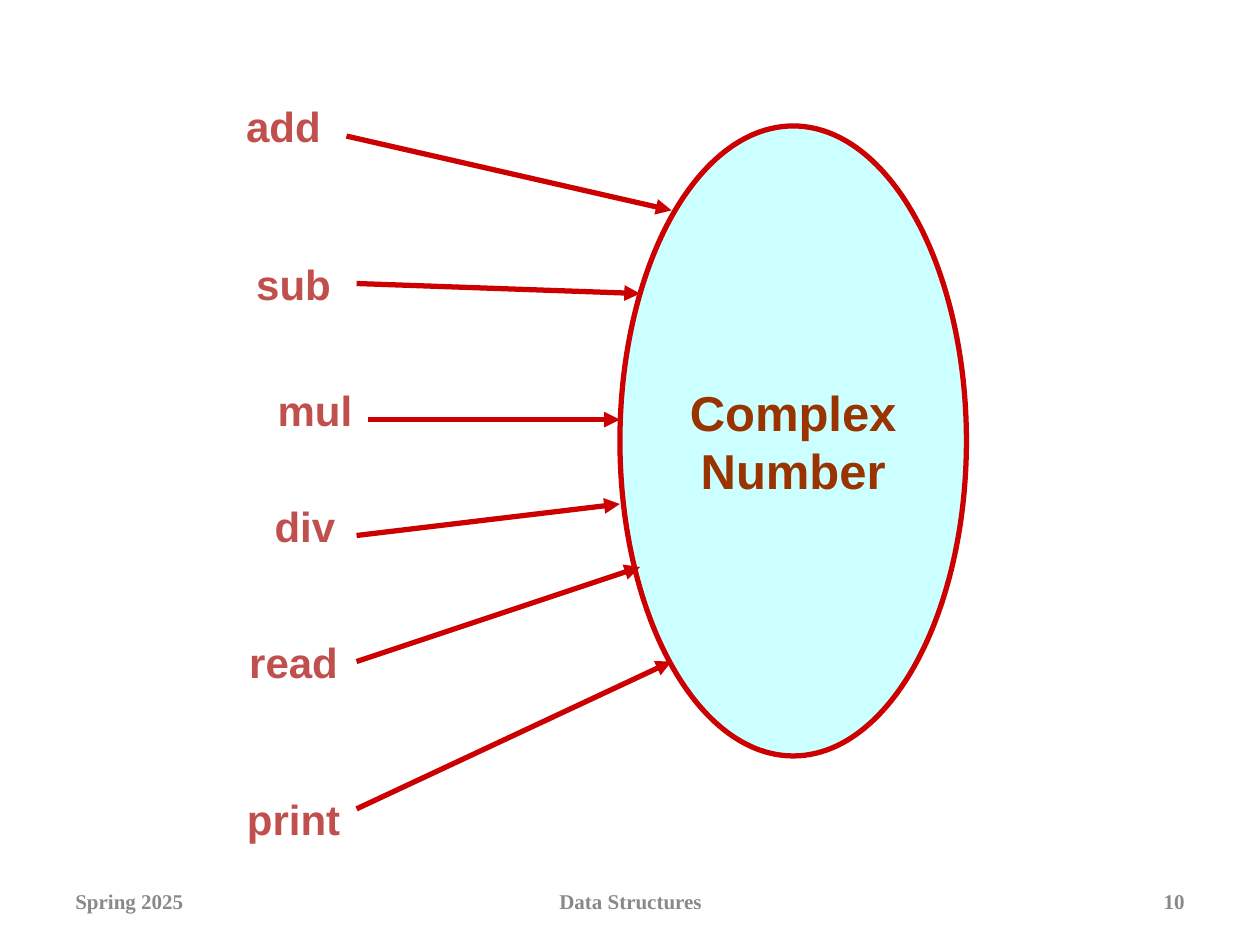
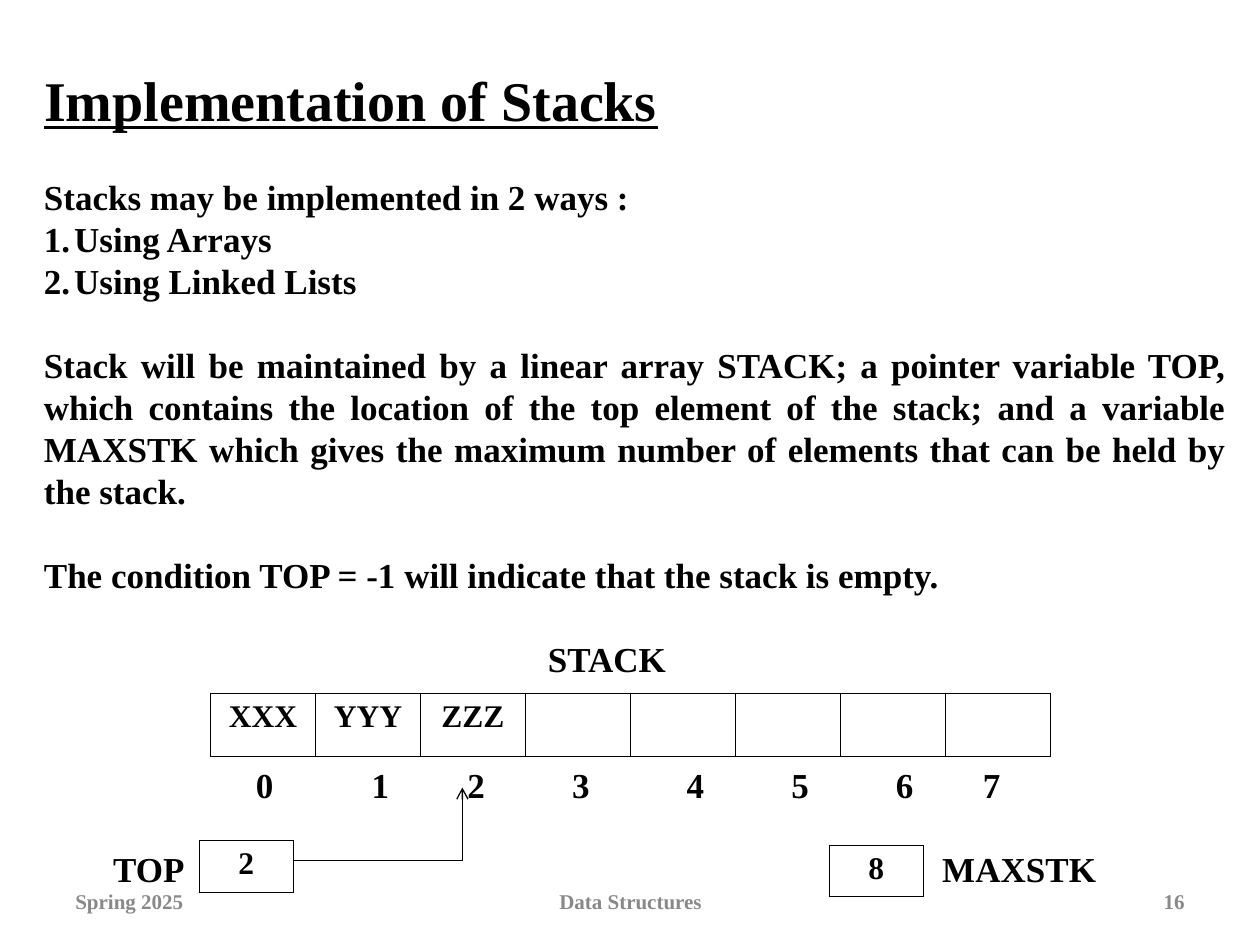
from dataclasses import dataclass

from lxml.etree import SubElement
from pptx import Presentation
from pptx.dml.color import RGBColor
from pptx.enum.shapes import MSO_CONNECTOR, MSO_SHAPE
from pptx.enum.text import MSO_ANCHOR as Anchor, MSO_AUTO_SIZE as AutoSize, PP_ALIGN as Align
from pptx.oxml import parse_xml
from pptx.oxml.ns import nsdecls, qn
from pptx.util import Inches, Pt


@dataclass(frozen=True)
class Theme:
    serif: str = "Times New Roman"
    sans: str = "Arial"
    ink: str = "000000"
    footer_grey: str = "898989"
    arrow_red: str = "CC0000"
    label_red: str = "C0504D"
    ellipse_fill: str = "CCFFFF"
    ellipse_text: str = "993300"
    title_size: int = 32
    ellipse_size: int = 28
    label_size: int = 24
    body_size: int = 20
    cell_size: int = 18
    footer_size: int = 12
    arrow_width: float = 3
    pointer_width: float = 0.75
    border_width: float = 0.45
    paragraph_gap: int = 24
    number_indent: float = 0.24


class Deck:
    def __init__(self, theme):
        self.theme = theme
        self.presentation = Presentation()
        self.presentation.slide_width = Inches(10)
        self.presentation.slide_height = Inches(7.5)
        self.slide = None

    def add_slide(self, number, title=None):
        layout = self.presentation.slide_layouts[5 if title else 6]
        self.slide = self.presentation.slides.add_slide(layout)
        if title:
            self.title(title)
        self.footer(number)

    def title(self, text):
        theme = self.theme
        shape = self.slide.shapes.title
        shape.left, shape.top, shape.width, shape.height = map(Inches, (0.25, 0.47, 9.58, 0.64))
        frame = shape.text_frame
        frame.text = text
        frame.auto_size = AutoSize.NONE
        frame.vertical_anchor = Anchor.TOP
        self.format_text(frame, theme.title_size, theme.ink, theme.serif, Align.LEFT)
        frame.paragraphs[0].runs[0].font.underline = True

    def footer(self, number):
        theme = self.theme
        for left, width, text, align in (
            (0.5, 2.33, "Spring 2025", Align.LEFT),
            (3.42, 3.17, "Data Structures", Align.CENTER),
            (7.17, 2.33, str(number), Align.RIGHT),
        ):
            shape = self.text(left, 6.95, width, 0.4, text, theme.footer_size,
                              theme.footer_grey, align=align)
            shape.text_frame.vertical_anchor = Anchor.MIDDLE

    def format_text(self, frame, size, color, font, align):
        for paragraph in frame.paragraphs:
            paragraph.alignment = align
            for run in paragraph.runs:
                run.font.name = font
                run.font.size = Pt(size)
                run.font.bold = True
                run.font.color.rgb = RGBColor.from_string(color)

    def text(self, left, top, width, height, text, size, color, font=None, align=Align.LEFT):
        shape = self.slide.shapes.add_textbox(*map(Inches, (left, top, width, height)))
        frame = shape.text_frame
        frame.word_wrap = True
        frame.text = text
        self.format_text(frame, size, color, font or self.theme.serif, align)
        return shape

    def label(self, left, top, width, text, align=Align.LEFT):
        theme = self.theme
        self.text(left, top, width, 0.43, text, theme.body_size, theme.ink, align=align)

    def body(self, left, top, width, height, paragraphs):
        theme = self.theme
        lines = "\n".join(text for text, numbered, spaced in paragraphs)
        shape = self.text(left, top, width, height, lines, theme.body_size,
                          theme.ink, align=Align.JUSTIFY)
        for paragraph, (text, numbered, spaced) in zip(shape.text_frame.paragraphs, paragraphs):
            if spaced:
                paragraph.space_before = Pt(theme.paragraph_gap)
            if numbered:
                self.number(paragraph)

    def number(self, paragraph):
        properties = paragraph._p.get_or_add_pPr()
        indent = Inches(self.theme.number_indent)
        properties.set("marL", str(indent))
        properties.set("indent", str(-indent))
        SubElement(properties, qn("a:buFont"), typeface="+mj-lt")
        SubElement(properties, qn("a:buAutoNum"), type="arabicPeriod")

    def ellipse(self, left, top, width, height, text):
        theme = self.theme
        shape = self.slide.shapes.add_shape(
            MSO_SHAPE.OVAL, *map(Inches, (left, top, width, height)))
        shape.shadow.inherit = False
        shape.fill.solid()
        shape.fill.fore_color.rgb = RGBColor.from_string(theme.ellipse_fill)
        shape.line.color.rgb = RGBColor.from_string(theme.arrow_red)
        shape.line.width = Pt(theme.arrow_width)
        frame = shape.text_frame
        frame.word_wrap = False
        frame.vertical_anchor = Anchor.MIDDLE
        frame.text = text
        self.format_text(frame, theme.ellipse_size, theme.ellipse_text, theme.sans, Align.CENTER)

    def line(self, start, end, color, width, head=None):
        connector = self.slide.shapes.add_connector(
            MSO_CONNECTOR.STRAIGHT, *map(Inches, (*start, *end)))
        connector.line.color.rgb = RGBColor.from_string(color)
        connector.line.width = Pt(width)
        if head:
            SubElement(connector.line._get_or_add_ln(), qn("a:tailEnd"), type=head)
        SubElement(connector._element.spPr, qn("a:effectLst"))

    def table(self, left, top, width, height, values):
        theme = self.theme
        table = self.slide.shapes.add_table(
            1, len(values), *map(Inches, (left, top, width, height))).table
        table.first_row = False
        table.horz_banding = False
        for cell, value in zip(table.rows[0].cells, values):
            cell.text = value
            cell.fill.background()
            self.format_text(cell.text_frame, theme.cell_size, theme.ink,
                             theme.serif, Align.CENTER)
            self.border(cell)

    def border(self, cell):
        theme = self.theme
        properties = cell._tc.get_or_add_tcPr()
        for position, side in enumerate(("lnL", "lnR", "lnT", "lnB")):
            properties.insert(position, parse_xml(
                f'<a:{side} {nsdecls("a")} w="{Pt(theme.border_width)}"><a:solidFill>'
                f'<a:srgbClr val="{theme.ink}"/></a:solidFill></a:{side}>'))


def build_operations(deck):
    theme = deck.theme
    deck.add_slide(10)
    deck.ellipse(4.92, 1, 2.75, 5, "Complex\nNumber")
    operations = (
        ("add", (1.75, 0.75), (2.75, 1.08), (5.33, 1.67)),
        ("sub", (1.83, 2), (2.83, 2.25), (5.08, 2.33)),
        ("mul", (2, 3), (2.92, 3.33), (4.92, 3.33)),
        ("div", (1.92, 3.92), (2.83, 4.25), (4.92, 4)),
        ("read", (1.83, 5), (2.83, 5.25), (5.08, 4.5)),
        ("print", (1.83, 6.25), (2.83, 6.42), (5.33, 5.25)),
    )
    for name, corner, start, end in operations:
        deck.line(start, end, theme.arrow_red, theme.arrow_width, "triangle")
        deck.text(*corner, 1, 0.5, name, theme.label_size, theme.label_red,
                  theme.sans, Align.CENTER)


def build_stacks(deck):
    theme = deck.theme
    deck.add_slide(16, "Implementation of Stacks")
    deck.body(0.25, 1.34, 9.58, 3.5, (
        ("Stacks may be implemented in 2 ways :", False, False),
        ("Using Arrays", True, False),
        ("Using Linked Lists", True, False),
        ("Stack will be maintained by a linear array STACK; a pointer variable TOP, "
         "which contains the location of the top element of the stack; and a variable "
         "MAXSTK which gives the maximum number of elements that can be held by "
         "the stack.", False, True),
        ("The condition TOP = -1 will indicate that the stack is empty.", False, True),
    ))
    deck.label(4.25, 5.01, 1.2, "STACK")
    deck.table(1.67, 5.5, 6.67, 0.5, ("XXX", "YYY", "ZZZ", "", "", "", "", ""))
    index_centers = (2.1, 3.02, 3.78, 4.61, 5.52, 6.35, 7.18, 7.87)
    for index, center in enumerate(index_centers):
        deck.label(center - 0.25, 6.01, 0.5, str(index), Align.CENTER)
    deck.label(0.8, 6.68, 0.8, "TOP")
    deck.table(1.58, 6.67, 0.75, 0.41, ("2",))
    corner = (3.67, 6.83)
    deck.line((2.33, 6.83), corner, theme.ink, theme.pointer_width)
    deck.line(corner, (3.67, 6.25), theme.ink, theme.pointer_width, "arrow")
    deck.table(6.58, 6.71, 0.75, 0.4, ("8",))
    deck.label(7.38, 6.68, 1.5, "MAXSTK")


def main():
    deck = Deck(Theme())
    build_operations(deck)
    build_stacks(deck)
    deck.presentation.save("out.pptx")


if __name__ == "__main__":
    main()
